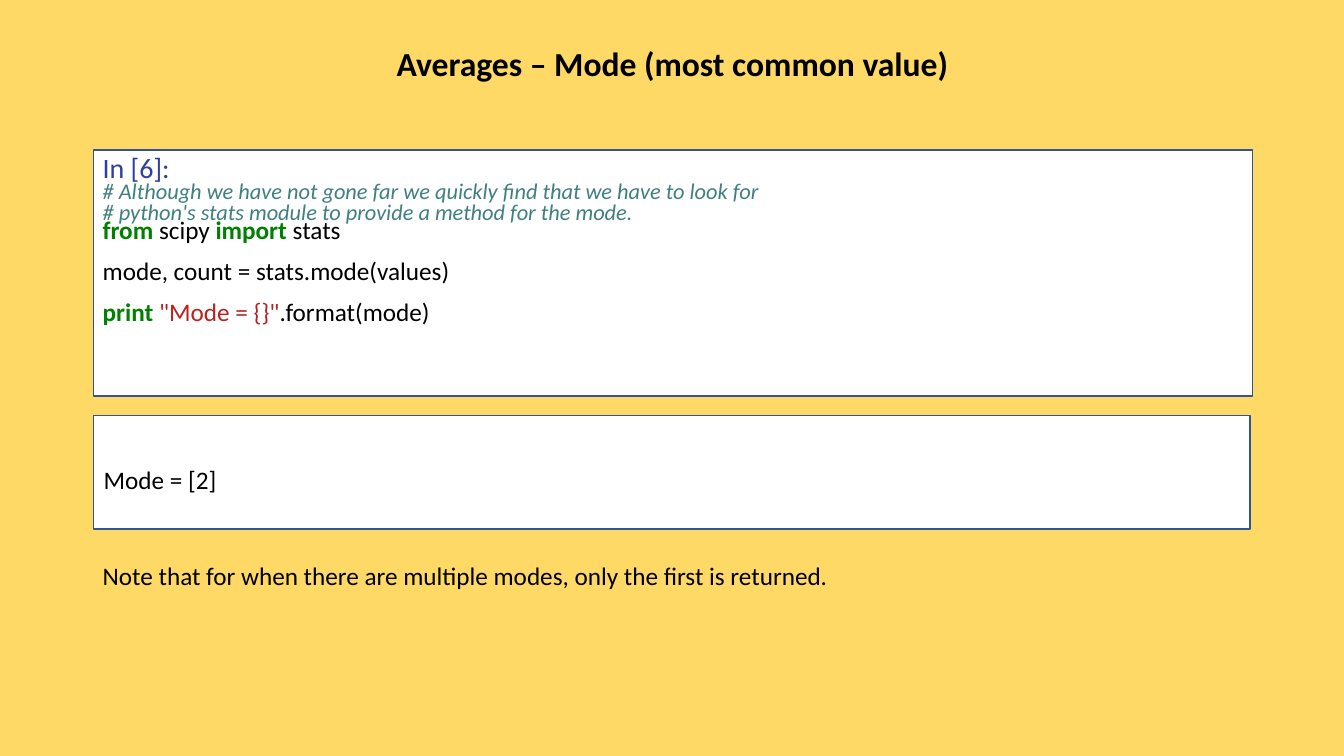
"""Build a slide that shows how to find the mode of a list of values."""
from dataclasses import dataclass

from pptx import Presentation
from pptx.dml.color import RGBColor
from pptx.enum import shapes, text
from pptx.util import Inches, Pt


@dataclass(frozen=True)
class Theme:
    font: str = "Calibri"
    background: str = "FFD966"
    panel: str = "FFFFFF"
    border: str = "325491"
    ink: str = "000000"
    prompt: str = "303F9F"
    comment: str = "408080"
    keyword: str = "008000"
    string: str = "BA2121"
    title_size: float = 24
    prompt_size: float = 20
    comment_size: float = 16
    body_size: float = 18
    code_leading: float = 14.6


THEME = Theme()
STYLES = {
    "title": (THEME.title_size, THEME.ink, True, False),
    "prompt": (THEME.prompt_size, THEME.prompt, False, False),
    "comment": (THEME.comment_size, THEME.comment, False, True),
    "keyword": (THEME.body_size, THEME.keyword, True, False),
    "string": (THEME.body_size, THEME.string, False, False),
    "plain": (THEME.body_size, THEME.ink, False, False),
}

TITLE = [[("Averages – Mode (most common value)", "title")]]
CODE = [
    [("In [6]:", "prompt")],
    [("# Although we have not gone far we quickly find that we have to look for", "comment")],
    [("# python's stats module to provide a method for the mode.", "comment")],
    [("from ", "keyword"), ("scipy ", "plain"), ("import", "keyword"), (" stats", "plain")],
    [("mode, count = stats.mode(values)", "plain")],
    [("print ", "keyword"), ('"Mode = {}"', "string"), (".format(mode)", "plain")],
]
SPACED_CODE_LINES = (4, 5)
OUTPUT = [[("Mode = [2]", "plain")]]
NOTE = [[("Note that for when there are multiple modes, only the first is returned.", "plain")]]

TITLE_BOX = (0.92, 0.4, 11.5, 0.51)
PANELS = [(0.93, 4.12, 11.47, 1.13), (0.93, 1.49, 11.49, 2.44)]
CODE_BOX = (0.92, 1.57, 11.26, 1.81)
OUTPUT_BOX = (0.93, 4.56, 6.06, 0.4)
NOTE_BOX = (0.92, 5.51, 11.49, 0.4)


def color(value):
    """Return the colour for a hexadecimal value."""
    return RGBColor.from_string(value)


def write(frame, lines):
    """Write styled lines into a text frame and return its paragraphs."""
    frame.word_wrap = True
    for index, line in enumerate(lines):
        paragraph = frame.add_paragraph() if index else frame.paragraphs[0]
        for words, style in line:
            run = paragraph.add_run()
            run.text = words
            size, ink, bold, italic = STYLES[style]
            run.font.name = THEME.font
            run.font.size = Pt(size)
            run.font.color.rgb = color(ink)
            run.font.bold = bold
            run.font.italic = italic
    return frame.paragraphs


def add_text(slide, box, lines):
    """Add a text box and return its paragraphs."""
    shape = slide.shapes.add_textbox(*map(Inches, box))
    return write(shape.text_frame, lines)


def add_panel(slide, box):
    """Add a white bordered panel."""
    panel = slide.shapes.add_shape(shapes.MSO_SHAPE.RECTANGLE, *map(Inches, box))
    panel.shadow.inherit = False
    panel.fill.solid()
    panel.fill.fore_color.rgb = color(THEME.panel)
    panel.line.color.rgb = color(THEME.border)
    panel.line.width = Pt(1)


def add_title(slide):
    """Place and fill the title placeholder."""
    title = slide.shapes.title
    title.left, title.top, title.width, title.height = map(Inches, TITLE_BOX)
    title.text_frame.vertical_anchor = text.MSO_ANCHOR.MIDDLE
    paragraph = write(title.text_frame, TITLE)[0]
    paragraph.alignment = text.PP_ALIGN.CENTER
    paragraph.line_spacing = 0.9


def add_code(slide):
    """Add the code cell with fixed leading."""
    for index, paragraph in enumerate(add_text(slide, CODE_BOX, CODE)):
        paragraph.line_spacing = Pt(THEME.code_leading)
        if index in SPACED_CODE_LINES:
            paragraph.space_before = Pt(THEME.code_leading)


def main():
    """Build and save the presentation."""
    presentation = Presentation()
    presentation.slide_width = Inches(13.33)
    presentation.slide_height = Inches(7.5)
    slide = presentation.slides.add_slide(presentation.slide_layouts.get_by_name("Title Only"))
    slide.background.fill.solid()
    slide.background.fill.fore_color.rgb = color(THEME.background)
    for box in PANELS:
        add_panel(slide, box)
    add_code(slide)
    add_title(slide)
    add_text(slide, OUTPUT_BOX, OUTPUT)
    add_text(slide, NOTE_BOX, NOTE)
    presentation.save("out.pptx")


if __name__ == "__main__":
    main()
